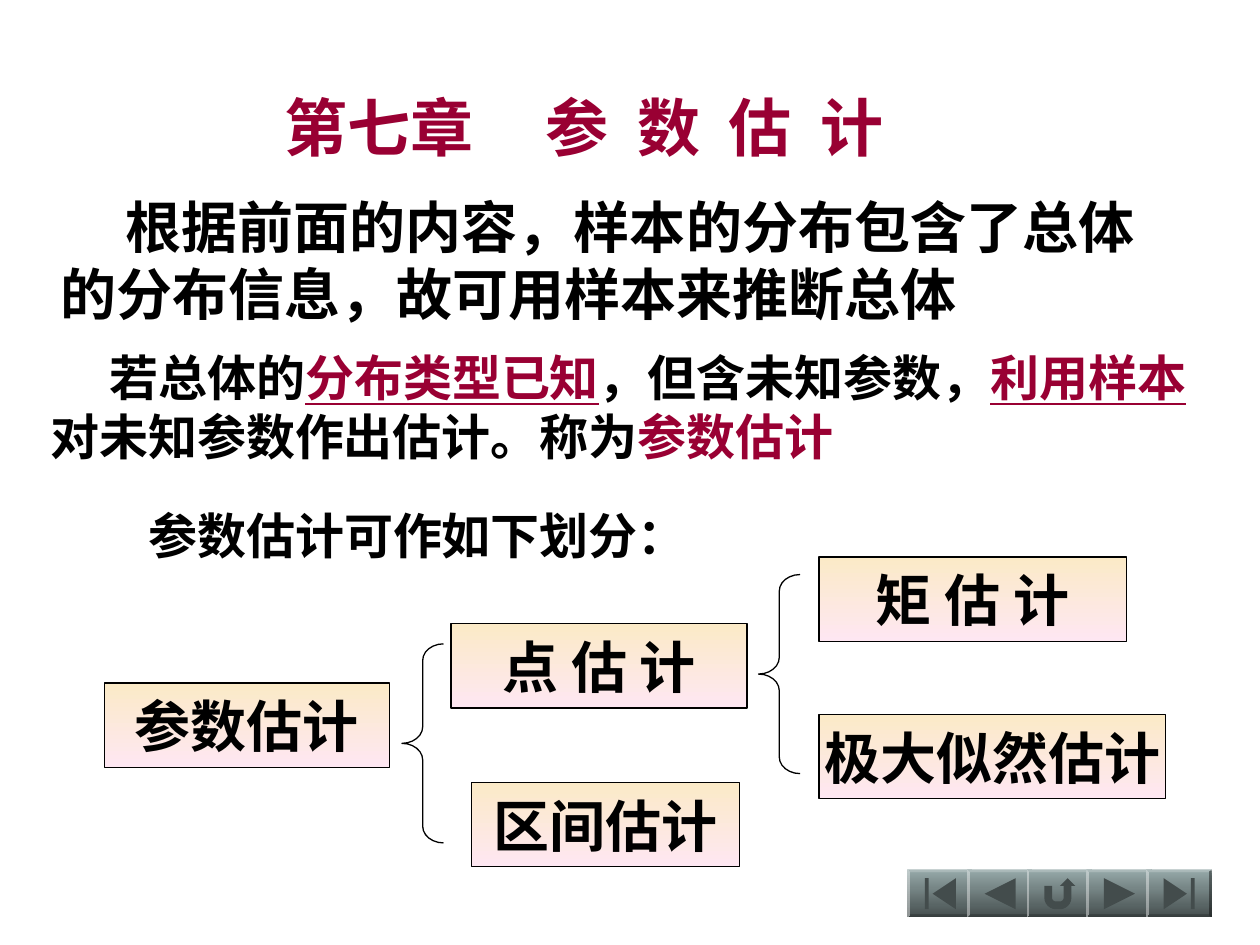
from dataclasses import dataclass
from math import cos, radians, sin
from typing import NamedTuple

from lxml.etree import SubElement
from pptx import Presentation
from pptx.dml.color import RGBColor
from pptx.enum.shapes import MSO_SHAPE
from pptx.enum.text import MSO_ANCHOR, MSO_AUTO_SIZE, PP_ALIGN
from pptx.oxml.ns import qn
from pptx.util import Emu, Inches, Pt


@dataclass(frozen=True)
class Theme:
    font: str = "Times New Roman"
    ink: str = "000000"
    accent: str = "990033"
    card: tuple[str, str] = ("FBEAC7", "FEE7F2")
    button: tuple[str, str] = ("96A9A9", "454E4E")
    icon: str = "434C4C"
    title_size: float = 36
    large_size: float = 32
    medium_size: float = 28
    outline: float = 0.75


class Area(NamedTuple):
    column: float
    row: float
    columns: float
    rows: float


class Phrase(NamedTuple):
    wording: str
    accent: bool = False
    underline: bool = False
    spacing: float = 0


class Concept(NamedTuple):
    label: str
    area: Area


class Passage(NamedTuple):
    area: Area
    phrases: list[Phrase]
    size: float
    color: str
    margin: float
    first_line: float
    wrap: bool = True


THEME = Theme()
SLIDE_WIDTH, SLIDE_HEIGHT = Inches(10), Inches(7.5)
CELL = SLIDE_WIDTH / 100
CARD_ROWS = 6.7

TITLE = Passage(
    Area(11.4, 6, 81.9, 8),
    [Phrase("第七章"), Phrase(" ", spacing=33), Phrase("参 数 估 计", spacing=4.1)],
    THEME.title_size, THEME.accent, 0, 10.2,
)
DEFINITION = Passage(
    Area(0, 27.1, 96.9, 12.8),
    [
        Phrase("若总体的"),
        Phrase("分布类型已知", accent=True, underline=True),
        Phrase("，但含未知参数，"),
        Phrase("利用样本", accent=True, underline=True),
        Phrase("对未知参数作出估计。称为"),
        Phrase("参数估计", accent=True),
    ],
    THEME.medium_size, THEME.ink, 3, 4.7,
)
REMARKS = [
    Passage(
        Area(0, 14.8, 93.8, 13.3),
        [Phrase("根据前面的内容，样本的分布包含了总体的分布信息，故可用样本来推断总体")],
        THEME.large_size, THEME.ink, 3.8, 5.2,
    ),
    Passage(
        Area(10, 39.6, 46.6, 5.7), [Phrase("参数估计可作如下划分：")],
        THEME.medium_size, THEME.ink, 0, 0.8, wrap=False,
    ),
]
CONCEPTS = [
    Concept("参数估计", Area(8.3, 54.2, 22.6, CARD_ROWS)),
    Concept("点 估 计", Area(35.8, 49.5, 23.5, CARD_ROWS)),
    Concept("区间估计", Area(37.4, 62.1, 21.3, CARD_ROWS)),
    Concept("矩 估 计", Area(65, 44.2, 24.4, CARD_ROWS)),
    Concept("极大似然估计", Area(65, 56.7, 27.5, CARD_ROWS)),
]
BRACES = [Area(31.9, 51.1, 3.3, 15.8), Area(60.2, 45.6, 3.3, 15.8)]

BUTTON = Area(72, 69, 5.2, 3.8)
BUTTON_PITCH = 4.74
ICON_INSET = (1.4, 0.7)
ICON_UNIT = 2.46 / 8
PRECISION = 100

Outline = list[tuple[float, float]]


def arc(x: float, y: float, radius: float, start: int, end: int) -> Outline:
    step = 15 if end > start else -15
    return [
        (x + radius * cos(radians(angle)), y + radius * sin(radians(angle)))
        for angle in range(start, end + step, step)
    ]


def bar(left: float) -> Outline:
    return [(left, 0), (left + 1, 0), (left + 1, 8), (left, 8)]


def pointer(tip: float, base: float) -> Outline:
    return [(tip, 4), (base, 0), (base, 8)]


RETURN_ARROW = [
    (0, 2), (2, 2), *arc(3, 5, 1, 180, 90), *arc(4, 5, 1, 90, 0),
    (5, 2), (4, 2), (6, 0), (8, 2), (7, 2),
    *arc(4, 5, 3, 0, 90), *arc(3, 5, 3, 90, 180),
]
ICONS = [
    [pointer(2, 8), bar(0)],
    [pointer(0, 8)],
    [RETURN_ARROW],
    [pointer(8, 0)],
    [pointer(6, 0), bar(7)],
]


def grid(cells: float) -> Emu:
    return Emu(round(cells * CELL))


def place(area: Area) -> tuple[Emu, ...]:
    return tuple(grid(cells) for cells in area)


def style_paragraph(paragraph, size: float, color: str) -> None:
    paragraph.font.name = THEME.font
    paragraph.font.size = Pt(size)
    paragraph.font.bold = True
    paragraph.font.color.rgb = RGBColor.from_string(color)


def write_passage(holder, passage: Passage) -> None:
    holder.left, holder.top, holder.width, holder.height = place(passage.area)
    frame = holder.text_frame
    frame.word_wrap = passage.wrap
    frame.auto_size = MSO_AUTO_SIZE.NONE
    paragraph = frame.paragraphs[0]
    paragraph.alignment = PP_ALIGN.LEFT
    paragraph.space_before = Pt(0)
    properties = paragraph._p.get_or_add_pPr()
    properties.set("marL", str(grid(passage.margin)))
    properties.set("indent", str(grid(passage.first_line)))
    SubElement(properties, qn("a:buNone"))
    style_paragraph(paragraph, passage.size, passage.color)
    for phrase in passage.phrases:
        run = paragraph.add_run()
        run.text = phrase.wording
        if phrase.accent:
            run.font.color.rgb = RGBColor.from_string(THEME.accent)
        if phrase.underline:
            run.font.underline = True
        if phrase.spacing:
            run._r.get_or_add_rPr().set("spc", str(round(phrase.spacing * 100)))


def fill_downward(shape, colors: tuple[str, str]) -> None:
    shape.fill.gradient()
    shape.fill.gradient_angle = 270
    for stop, color, position in zip(shape.fill.gradient_stops, colors, (0, 1)):
        stop.color.rgb = RGBColor.from_string(color)
        stop.position = position


def draw_outline(shape) -> None:
    shape.shadow.inherit = False
    shape.line.color.rgb = RGBColor.from_string(THEME.ink)
    shape.line.width = Pt(THEME.outline)


def draw_concept(slide, concept: Concept) -> None:
    card = slide.shapes.add_shape(MSO_SHAPE.RECTANGLE, *place(concept.area))
    draw_outline(card)
    fill_downward(card, THEME.card)
    card.text_frame.word_wrap = False
    card.text_frame.vertical_anchor = MSO_ANCHOR.MIDDLE
    paragraph = card.text_frame.paragraphs[0]
    paragraph.alignment = PP_ALIGN.CENTER
    style_paragraph(paragraph, THEME.large_size, THEME.ink)
    paragraph.add_run().text = concept.label


def draw_brace(slide, area: Area) -> None:
    brace = slide.shapes.add_shape(MSO_SHAPE.LEFT_BRACE, *place(area))
    brace.adjustments[0] = 0.4
    brace.fill.background()
    draw_outline(brace)


def draw_button(slide, position: int, icon: list[Outline]) -> None:
    area = BUTTON._replace(column=BUTTON.column + position * BUTTON_PITCH)
    button = slide.shapes.add_shape(MSO_SHAPE.BEVEL, *place(area))
    button.adjustments[0] = 0.06
    button.shadow.inherit = False
    button.line.fill.background()
    fill_downward(button, THEME.button)
    contours = [[(x * PRECISION, y * PRECISION) for x, y in part] for part in icon]
    builder = slide.shapes.build_freeform(*contours[0][0], scale=ICON_UNIT * CELL / PRECISION)
    builder.add_line_segments(contours[0][1:])
    for contour in contours[1:]:
        builder.move_to(*contour[0])
        builder.add_line_segments(contour[1:])
    symbol = builder.convert_to_shape(
        grid(area.column + ICON_INSET[0]), grid(area.row + ICON_INSET[1])
    )
    symbol.shadow.inherit = False
    symbol.line.fill.background()
    symbol.fill.solid()
    symbol.fill.fore_color.rgb = RGBColor.from_string(THEME.icon)


def main() -> None:
    deck = Presentation()
    deck.slide_width, deck.slide_height = SLIDE_WIDTH, SLIDE_HEIGHT
    slide = deck.slides.add_slide(deck.slide_layouts[1])
    title, definition = slide.placeholders
    write_passage(title, TITLE)
    title.text_frame.vertical_anchor = MSO_ANCHOR.BOTTOM
    title.text_frame.margin_bottom = grid(1)
    write_passage(definition, DEFINITION)
    for concept in CONCEPTS:
        draw_concept(slide, concept)
    for area in BRACES:
        draw_brace(slide, area)
    for position, icon in enumerate(ICONS):
        draw_button(slide, position, icon)
    for remark in REMARKS:
        write_passage(slide.shapes.add_textbox(*place(remark.area)), remark)
    deck.save("out.pptx")


if __name__ == "__main__":
    main()
